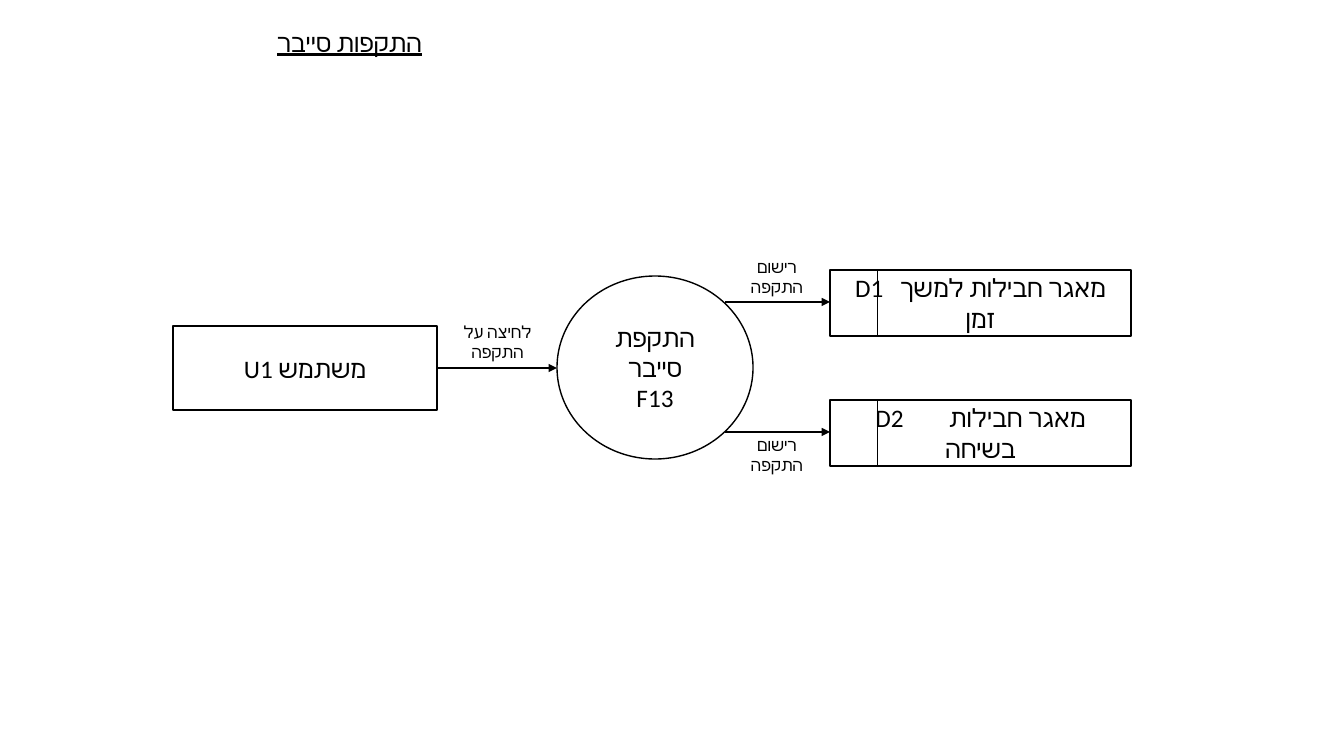
import pptx
import pptx.util
import pptx.dml.color
import pptx.enum.shapes
import pptx.enum.text
import pptx.oxml.ns
import lxml.etree

COLORS = {"ink": "000000", "paper": "FFFFFF"}
FONT = "Calibri"
KINDS = pptx.enum.shapes.MSO_SHAPE
ALIGN = pptx.enum.text.PP_ALIGN
ANCHOR = pptx.enum.text.MSO_ANCHOR

NODES = [
    (KINDS.RECTANGLE, (173, 326, 264, 84), ["U1 משתמש"]),
    (KINDS.OVAL, (557, 276, 196, 183), ["התקפת סייבר", "F13"]),
]
STORES = [
    ("D1", "מאגר חבילות למשך זמן", 8, 252),
    ("D2", "מאגר חבילות בשיחה", 28.5, 430),
]
TITLE = ("התקפות סייבר", (73, 22, 359, 40))
CLICK = ("לחיצה על התקפה", (436, 317, 123, 50))
RECORD = "רישום התקפה"
STORE = (830, 270, 301, 66)
PITCH = 130
SPLIT = 47
EXIT = 725
UNIT = 914400 / 100.8


def px(n):
    return pptx.util.Emu(round(n * UNIT))


def color(name):
    return pptx.dml.color.RGBColor.from_string(COLORS[name])


def put(obj, values):
    for key, value in values.items():
        setattr(obj, key, value)


def add_run(para, text, size, line=False, gap=0):
    run = para.add_run()
    run.text = text
    put(run.font, {"name": FONT, "size": pptx.util.Pt(size), "underline": line or None})
    run.font.color.rgb = color("ink")
    props = run.font._element if hasattr(run.font, "_element") else run._r.get_or_add_rPr()
    script = lxml.etree.SubElement(props, pptx.oxml.ns.qn("a:cs"))
    script.set("typeface", FONT)
    if gap:
        props.set("spc", str(round(gap * 100)))


def add_node(kind, box, lines):
    node = slide.shapes.add_shape(kind, *map(px, box))
    node.shadow.inherit = False
    node.fill.solid()
    node.fill.fore_color.rgb = color("paper")
    node.line.color.rgb = color("ink")
    node.line.width = pptx.util.Pt(1)
    frame = node.text_frame
    put(frame, {"word_wrap": True, "vertical_anchor": ANCHOR.MIDDLE})
    for i, text in enumerate(lines):
        para = frame.add_paragraph() if i else frame.paragraphs[0]
        para.alignment = ALIGN.CENTER
        parts = [(text, 0)] if isinstance(text, str) else text
        for part, gap in parts:
            add_run(para, part, 18, gap=gap)


def add_label(text, box, size=12, align=ALIGN.CENTER, line=False):
    frame = slide.shapes.add_textbox(*map(px, box)).text_frame
    put(frame, {"word_wrap": True, "auto_size": pptx.enum.text.MSO_AUTO_SIZE.SHAPE_TO_FIT_TEXT})
    para = frame.paragraphs[0]
    para.alignment = align
    add_run(para, text, size, line)


def add_line(ends, width=1, head=True):
    line = slide.shapes.add_connector(pptx.enum.shapes.MSO_CONNECTOR.STRAIGHT, *map(px, ends))
    line.line.color.rgb = color("ink")
    line.line.width = pptx.util.Pt(width)
    if head:
        tip = lxml.etree.SubElement(line.line._get_or_add_ln(), pptx.oxml.ns.qn("a:tailEnd"))
        tip.set("type", "triangle")
    lxml.etree.SubElement(line._element.spPr, pptx.oxml.ns.qn("a:effectLst"))


deck = pptx.Presentation()
put(deck, {"slide_width": px(1344), "slide_height": px(756)})
slide = deck.slides.add_slide(deck.slide_layouts[6])

for node in NODES:
    add_node(*node)
add_line((438, 368, 557, 368))
add_label(*CLICK)
add_label(*TITLE, size=18, align=ALIGN.RIGHT, line=True)

left, top, wide, high = STORE
for i, (code, name, gap, above) in enumerate(STORES):
    y = top + i * PITCH
    add_line((EXIT, y + 32, left, y + 32))
    add_node(KINDS.RECTANGLE, (left, y, wide, high), [[(code, 0), (" ", gap), (name, 0)]])
    add_line((left + SPLIT, y + high, left + SPLIT, y), width=0.5, head=False)
    add_label(RECORD, (726, above, 102, 50))

deck.save("out.pptx")
